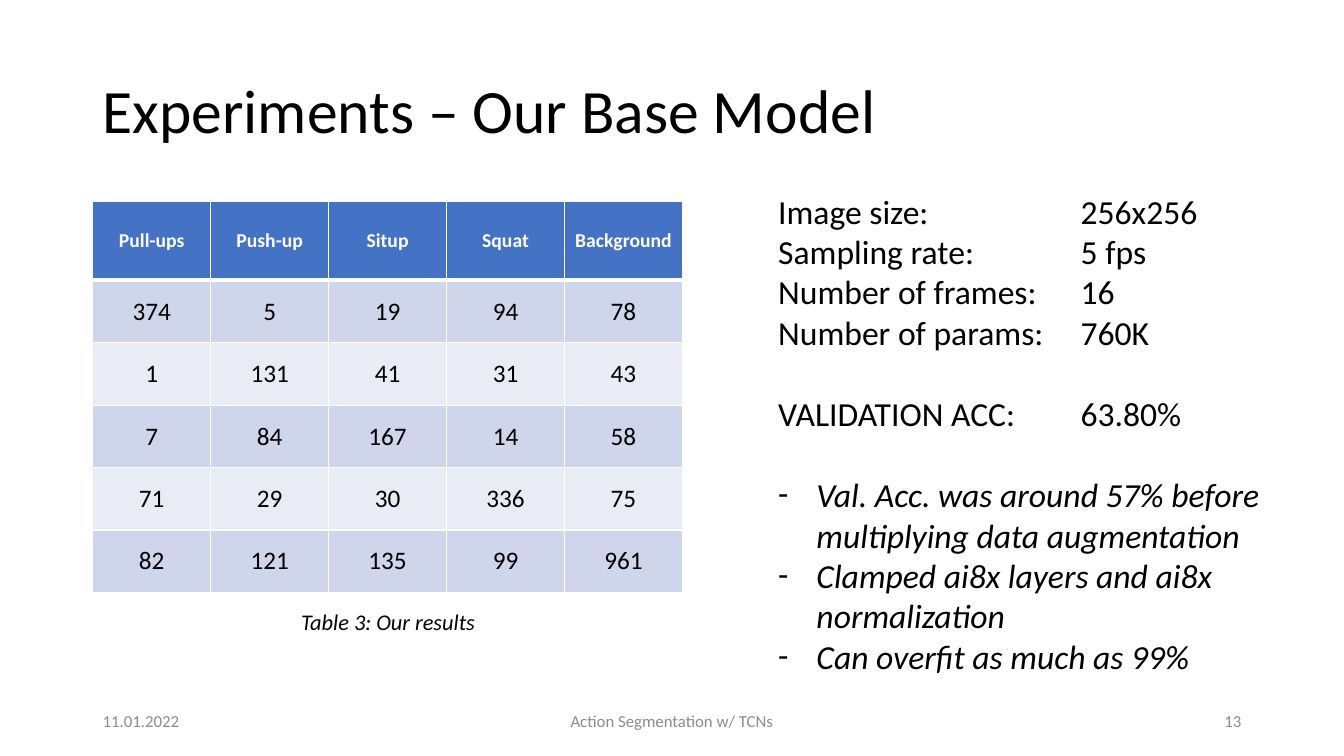
from lxml import etree
from pptx import Presentation
from pptx import util as u
from pptx.dml.color import RGBColor
from pptx.enum import text
from pptx.oxml import ns

COLORS = {"ink": "000000", "muted": "8C8C8C", "white": "FFFFFF",
          "header": "4472C4", "band": "CFD5EA", "light": "E9EBF5"}
WIDTH, HEIGHT = 13.33, 7.5
MARGIN = 0.92
TITLE = "Experiments – Our Base Model"
RESULTS = [
    ("Pull-ups", "Push-up", "Situp", "Squat", "Background"),
    (374, 5, 19, 94, 78),
    (1, 131, 41, 31, 43),
    (7, 84, 167, 14, 58),
    (71, 29, 30, 336, 75),
    (82, 121, 135, 99, 961),
]
CAPTION = "Table 3: Our results"
SETTINGS = [
    ("Image size:", "256x256"),
    ("Sampling rate:", "5 fps"),
    ("Number of frames:", "16"),
    ("Number of params:", "760K"),
]
ACCURACY = ("VALIDATION ACC:", "63.80%")
REMARKS = [
    "Val. Acc. was around 57% before multiplying data augmentation",
    "Clamped ai8x layers and ai8x normalization",
    "Can overfit as much as 99%",
]
LEFT, CENTER, RIGHT = (text.PP_ALIGN.LEFT, text.PP_ALIGN.CENTER,
                       text.PP_ALIGN.RIGHT)
FOOTERS = [
    ("11.01.2022", MARGIN, 3, LEFT),
    ("Action Segmentation w/ TCNs", (WIDTH - 4.5) / 2, 4.5, CENTER),
    ("13", WIDTH - MARGIN - 3, 3, RIGHT),
]
TABLE_TOP, COLUMN, HEADER_ROW, ROW = 2, 1.17, 0.78, 0.62
TAB_STOP, HANG, GAP = 3, 0.38, 29.3


def write(paragraph, words, align=LEFT, color="ink", **font):
    paragraph.alignment = align
    run = paragraph.add_run()
    run.text = words
    for name, value in {"name": "Calibri", **font}.items():
        setattr(run.font, name, value)
    run.font.color.rgb = RGBColor.from_string(COLORS[color])


def add_box(slide, left, top, width, height, anchor=text.MSO_ANCHOR.TOP):
    box = slide.shapes.add_textbox(*map(u.Inches, (left, top, width, height)))
    box.text_frame.word_wrap = True
    box.text_frame.vertical_anchor = anchor
    return box.text_frame


def add_border(cell, side, points):
    line = etree.SubElement(cell._tc.get_or_add_tcPr(), ns.qn(f"a:ln{side}"),
                            w=str(u.Pt(points)))
    fill = etree.SubElement(line, ns.qn("a:solidFill"))
    etree.SubElement(fill, ns.qn("a:srgbClr"), val=COLORS["white"])


def add_results(slide):
    rows, columns = len(RESULTS), len(RESULTS[0])
    heights = [HEADER_ROW] + [ROW] * (rows - 1)
    table = slide.shapes.add_table(
        rows, columns, u.Inches(MARGIN), u.Inches(TABLE_TOP),
        u.Inches(COLUMN * columns), u.Inches(sum(heights))).table
    for column in table.columns:
        column.width = u.Inches(COLUMN)
    for r, values in enumerate(RESULTS):
        table.rows[r].height = u.Inches(heights[r])
        header = r == 0
        fill = "header" if header else ("light", "band")[r % 2]
        font = {"size": u.Pt(14 if header else 18), "bold": header,
                "color": "white" if header else "ink"}
        borders = {"L": 1, "R": 1, "T": 3 if r == 1 else 1,
                   "B": 3 if header else 1}
        for c, value in enumerate(values):
            cell = table.cell(r, c)
            cell.vertical_anchor = text.MSO_ANCHOR.MIDDLE
            write(cell.text_frame.paragraphs[0], str(value), CENTER, **font)
            for side, points in borders.items():
                add_border(cell, side, points)
            cell.fill.solid()
            cell.fill.fore_color.rgb = RGBColor.from_string(COLORS[fill])


def add_summary(slide):
    frame = add_box(slide, 7.62, 1.84, 5.3, 4.95)
    for i, pair in enumerate(SETTINGS + [ACCURACY]):
        paragraph = frame.add_paragraph() if i else frame.paragraphs[0]
        write(paragraph, "\t".join(pair), size=u.Pt(24))
        if pair is ACCURACY:
            paragraph.space_before = u.Pt(GAP)
        tabs = etree.SubElement(paragraph._p.get_or_add_pPr(), ns.qn("a:tabLst"))
        etree.SubElement(tabs, ns.qn("a:tab"), pos=str(u.Inches(TAB_STOP)), algn="l")
    for i, remark in enumerate(REMARKS):
        paragraph = frame.add_paragraph()
        write(paragraph, remark, size=u.Pt(24), italic=True)
        if i == 0:
            paragraph.space_before = u.Pt(GAP)
        properties = paragraph._p.get_or_add_pPr()
        properties.set("marL", str(u.Inches(HANG)))
        properties.set("indent", str(-u.Inches(HANG)))
        etree.SubElement(properties, ns.qn("a:buFont"), typeface="Calibri")
        etree.SubElement(properties, ns.qn("a:buChar"), char="-")


def main():
    presentation = Presentation()
    presentation.slide_width = u.Inches(WIDTH)
    presentation.slide_height = u.Inches(HEIGHT)
    slide = presentation.slides.add_slide(presentation.slide_layouts[6])
    middle = text.MSO_ANCHOR.MIDDLE

    title = add_box(slide, MARGIN, 0.4, WIDTH - 2 * MARGIN, 1.45, middle)
    write(title.paragraphs[0], TITLE, size=u.Pt(44))
    title.paragraphs[0].line_spacing = 0.9
    for words, left, width, align in FOOTERS:
        footer = add_box(slide, left, 6.95, width, 0.4, middle)
        write(footer.paragraphs[0], words, align, "muted", size=u.Pt(12))
    add_results(slide)
    caption = add_box(slide, 2.46, 5.98, 2.78, 0.37)
    write(caption.paragraphs[0], CAPTION, CENTER, size=u.Pt(16), italic=True)
    add_summary(slide)
    presentation.save("out.pptx")


if __name__ == "__main__":
    main()
